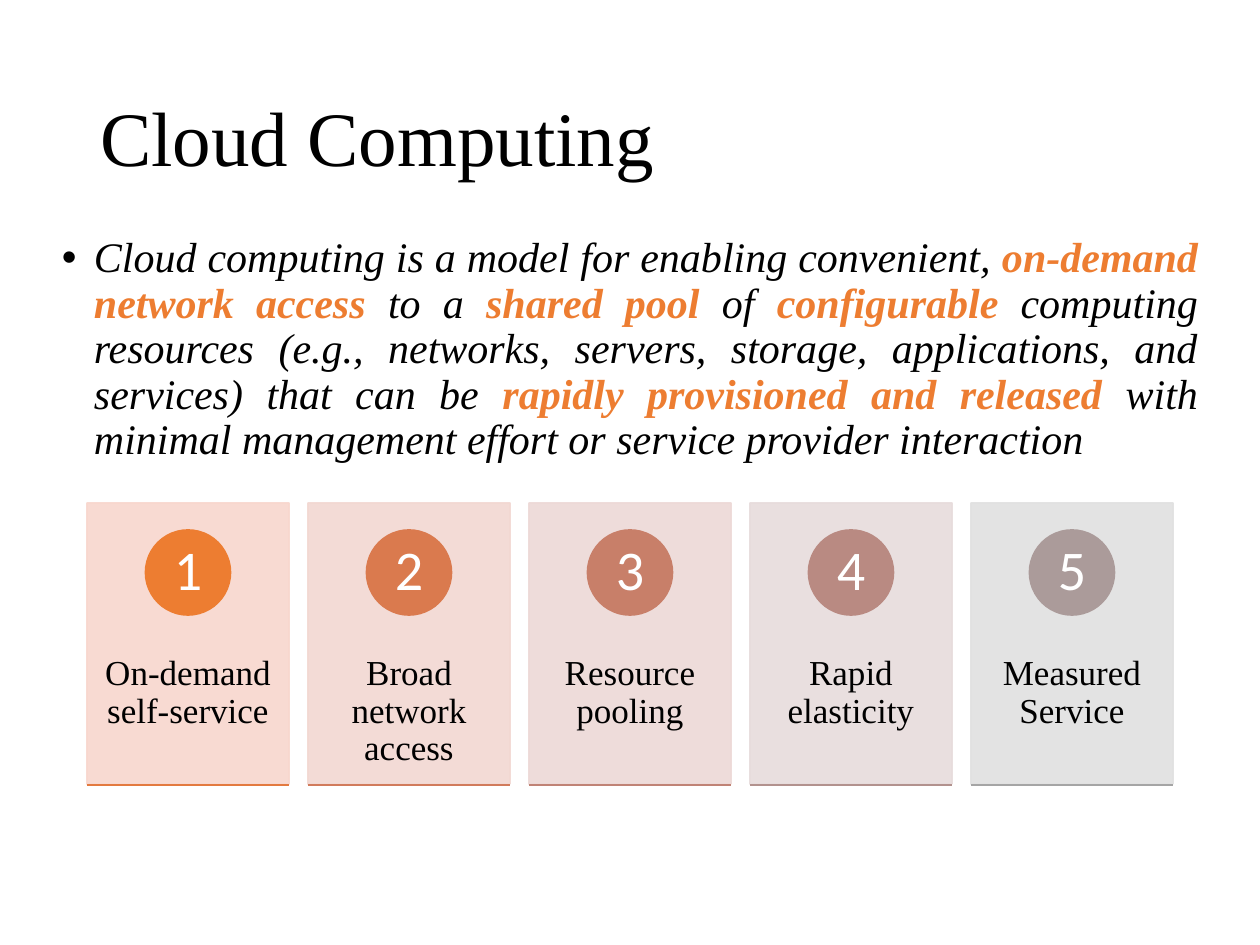
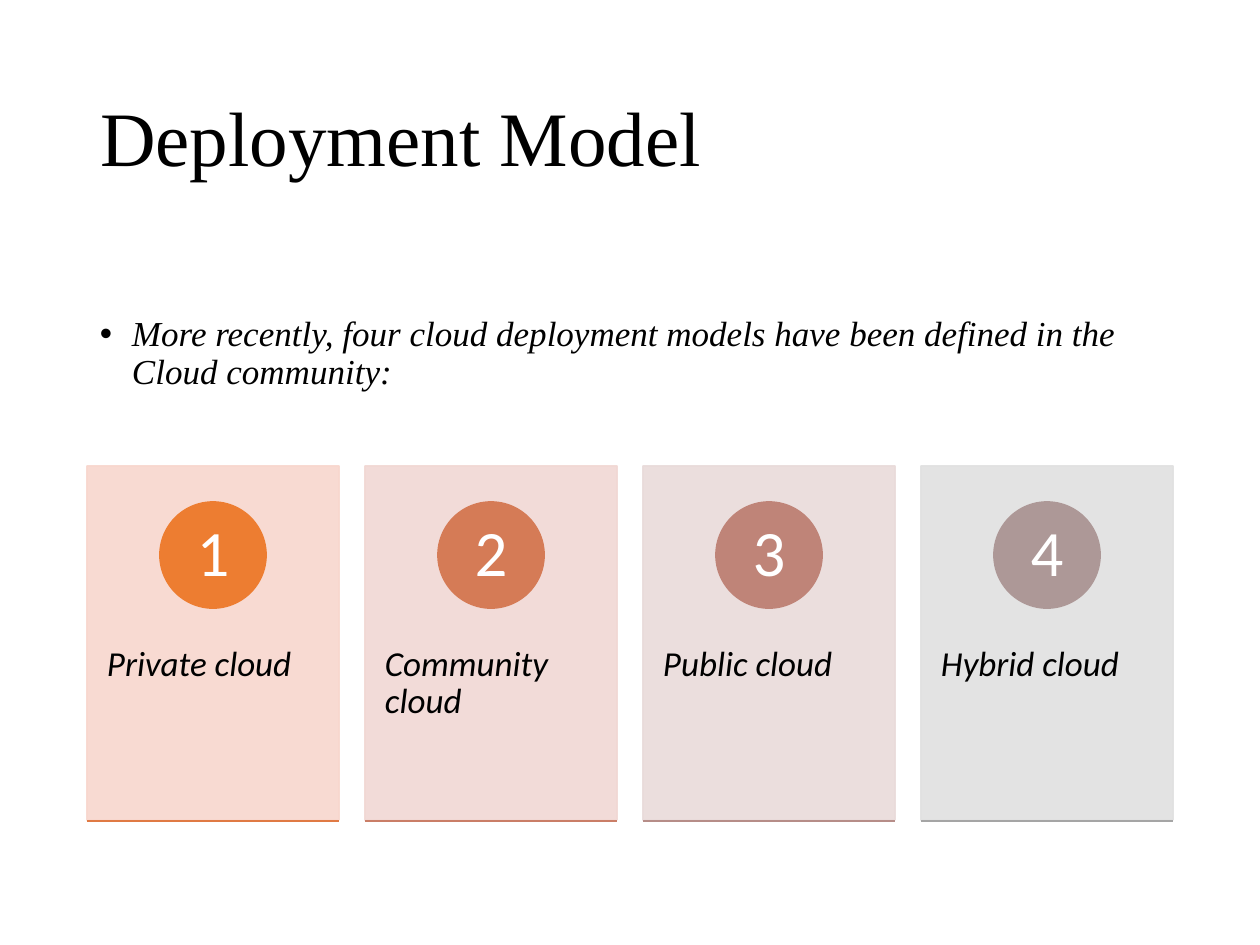
import lxml.etree
import pptx
import pptx.dml.color
import pptx.enum.shapes
import pptx.enum.text
import pptx.oxml.ns
import pptx.util

PX = pptx.util.Inches(1) / 126
SERIF = "Times New Roman"
SANS = "Calibri"
ALIGN = pptx.enum.text.PP_ALIGN
MIDDLE = pptx.enum.text.MSO_ANCHOR.MIDDLE
SHAPES = pptx.enum.shapes.MSO_SHAPE
CARDS_LEFT = 87
CARDS_SPAN = 1086
BULLET_INDENT = 32

COLORS = {
    "text": "000000",
    "number": "FFFFFF",
    "accent": "ED7D31",
    "demand_card": "F8D7CE", "demand_circle": "ED7D31", "demand_base": "E37A40",
    "network_card": "F2D8D2", "network_circle": "DA7A4E", "network_base": "D17B5C",
    "pooling_card": "EDD9D7", "pooling_circle": "C87F69", "pooling_base": "C08376",
    "elasticity_card": "E7DCDC", "elasticity_circle": "B98A82", "elasticity_base": "B2928E",
    "measured_card": "E1E1E1", "measured_circle": "AB9B9A", "measured_base": "A5A5A5",
    "private_card": "F8D7CE", "private_circle": "ED7D31", "private_base": "E07A44",
    "community_card": "F1D8D4", "community_circle": "D57B56", "community_base": "CA7E67",
    "public_card": "E9DBDA", "public_circle": "BF8478", "public_base": "B68D88",
    "hybrid_card": "E1E1E1", "hybrid_circle": "AD9897", "hybrid_base": "A5A5A5",
}

CHARACTERISTICS = [
    ("demand", "On-demand self-service"),
    ("network", "Broad network access"),
    ("pooling", "Resource pooling"),
    ("elasticity", "Rapid elasticity"),
    ("measured", "Measured Service"),
]
DEPLOYMENT_MODELS = [
    ("private", "Private cloud"),
    ("community", "Community cloud"),
    ("public", "Public cloud"),
    ("hybrid", "Hybrid cloud"),
]
CHARACTERISTIC_STYLE = {
    "width": 202, "top": 503, "height": 281,
    "circle_top": 530, "diameter": 85, "number_size": 32,
    "label_top": 610, "label_height": 169, "label_inset": 15,
    "label_align": ALIGN.CENTER, "label_font": SERIF, "label_italic": False,
}
DEPLOYMENT_STYLE = {
    "width": 252, "top": 466, "height": 354,
    "circle_top": 502, "diameter": 106, "number_size": 37,
    "label_top": 601, "label_height": 212, "label_inset": 20,
    "label_align": ALIGN.LEFT, "label_font": SANS, "label_italic": True,
}
DEFINITION = [
    ("Cloud computing is a model for enabling convenient, ", False),
    ("on-demand network access ", True),
    ("to a ", False),
    ("shared pool ", True),
    ("of ", False),
    ("configurable", True),
    (" computing resources (e.g., networks, servers, storage, applications, and "
     "services) that can be ", False),
    ("rapidly provisioned and released ", True),
    ("with minimal management effort or service provider interaction", False),
]
MODELS_INTRO = [
    ("More recently, four cloud deployment models have been defined in the "
     "Cloud community:", False),
]


def px(length):
    return round(length * PX)


def box(*lengths):
    return [px(length) for length in lengths]


def apply_formats(target, formats):
    for name, value in formats.items():
        setattr(target, name, value)


def rgb(color):
    return pptx.dml.color.RGBColor.from_string(COLORS[color])


def set_frame(frame, insets, anchor=pptx.enum.text.MSO_ANCHOR.TOP):
    left, top, right, bottom = box(*insets)
    apply_formats(frame, {
        "word_wrap": True, "auto_size": pptx.enum.text.MSO_AUTO_SIZE.NONE,
        "vertical_anchor": anchor, "margin_left": left, "margin_top": top,
        "margin_right": right, "margin_bottom": bottom,
    })


def add_run(paragraph, text, color, **formats):
    run = paragraph.add_run()
    run.text = text
    apply_formats(run.font, formats)
    run.font.color.rgb = rgb(color)


def write_line(frame, text, color, align, **formats):
    paragraph = frame.paragraphs[0]
    apply_formats(paragraph, {"alignment": align, "line_spacing": 0.9})
    add_run(paragraph, text, color, **formats)


def add_titled_slide(presentation, text):
    slide = presentation.slides.add_slide(presentation.slide_layouts[5])
    title = slide.shapes.title
    left, top, width, height = box(87, 50, 1086, 183)
    apply_formats(title, {"left": left, "top": top, "width": width, "height": height})
    set_frame(title.text_frame, (13, 6, 13, 6), MIDDLE)
    write_line(title.text_frame, text, "text", ALIGN.LEFT,
               name=SERIF, size=pptx.util.Pt(44))
    return slide


def add_shape(slide, preset, bounds, color, opacity=100):
    shape = slide.shapes.add_shape(preset, *box(*bounds))
    shape.shadow.inherit = False
    shape.fill.solid()
    shape.fill.fore_color.rgb = rgb(color)
    shape.line.color.rgb = rgb(color)
    shape.line.width = pptx.util.Pt(1)
    if opacity < 100:
        for element in shape.element.spPr.iter(pptx.oxml.ns.qn("a:srgbClr")):
            lxml.etree.SubElement(element, pptx.oxml.ns.qn("a:alpha"),
                                  val=str(opacity * 1000))
    return shape


def add_base_line(slide, left, y, width, color):
    line = slide.shapes.add_connector(
        pptx.enum.shapes.MSO_CONNECTOR.STRAIGHT, *box(left, y, left + width, y))
    line.line.color.rgb = rgb(color)
    line.line.width = pptx.util.Pt(1)
    lxml.etree.SubElement(line.element.spPr, pptx.oxml.ns.qn("a:effectLst"))


def add_card(slide, left, number, key, label, style):
    width = style["width"]
    diameter = style["diameter"]
    inset = style["label_inset"]
    add_shape(slide, SHAPES.RECTANGLE, (left, style["top"], width, style["height"]),
              f"{key}_card", 90)
    label_box = slide.shapes.add_textbox(
        *box(left, style["label_top"], width, style["label_height"]))
    set_frame(label_box.text_frame, (inset, 45, inset, 45))
    write_line(label_box.text_frame, label, "text", style["label_align"],
               name=style["label_font"], size=pptx.util.Pt(20),
               italic=style["label_italic"])
    circle = add_shape(slide, SHAPES.OVAL,
                       (left + (width - diameter) / 2, style["circle_top"],
                        diameter, diameter), f"{key}_circle")
    set_frame(circle.text_frame, (6, 1, 6, 1), MIDDLE)
    write_line(circle.text_frame, str(number), "number", ALIGN.CENTER,
               name=SANS, size=pptx.util.Pt(style["number_size"]))
    add_base_line(slide, left, style["top"] + style["height"] + 1, width, f"{key}_base")


def add_card_row(slide, cards, style):
    pitch = (CARDS_SPAN - style["width"]) / (len(cards) - 1)
    for index, (key, label) in enumerate(cards):
        add_card(slide, CARDS_LEFT + round(index * pitch), index + 1, key, label, style)


def add_bullet_text(slide, bounds, parts, size, align):
    text_box = slide.shapes.add_textbox(*box(*bounds))
    set_frame(text_box.text_frame, (13, 6, 13, 42), MIDDLE)
    paragraph = text_box.text_frame.paragraphs[0]
    properties = paragraph._p.get_or_add_pPr()
    properties.set("marL", str(px(BULLET_INDENT)))
    properties.set("indent", str(px(-BULLET_INDENT)))
    lxml.etree.SubElement(properties, pptx.oxml.ns.qn("a:buFont"), typeface="Arial")
    lxml.etree.SubElement(properties, pptx.oxml.ns.qn("a:buChar"), char="•")
    apply_formats(paragraph, {"alignment": align, "line_spacing": 0.9})
    for text, emphasized in parts:
        add_run(paragraph, text, "accent" if emphasized else "text", name=SERIF,
                size=pptx.util.Pt(size), italic=True, bold=emphasized)


def main():
    presentation = pptx.Presentation()
    presentation.slide_width, presentation.slide_height = box(1260, 945)

    computing = add_titled_slide(presentation, "Cloud Computing")
    add_card_row(computing, CHARACTERISTICS, CHARACTERISTIC_STYLE)
    add_bullet_text(computing, (49, 157, 1162, 422), DEFINITION, 24, ALIGN.JUSTIFY)

    deployment = add_titled_slide(presentation, "Deployment Model")
    add_card_row(deployment, DEPLOYMENT_MODELS, DEPLOYMENT_STYLE)
    add_bullet_text(deployment, (87, 161, 1086, 422), MODELS_INTRO, 20, ALIGN.LEFT)

    presentation.save("out.pptx")


if __name__ == "__main__":
    main()
